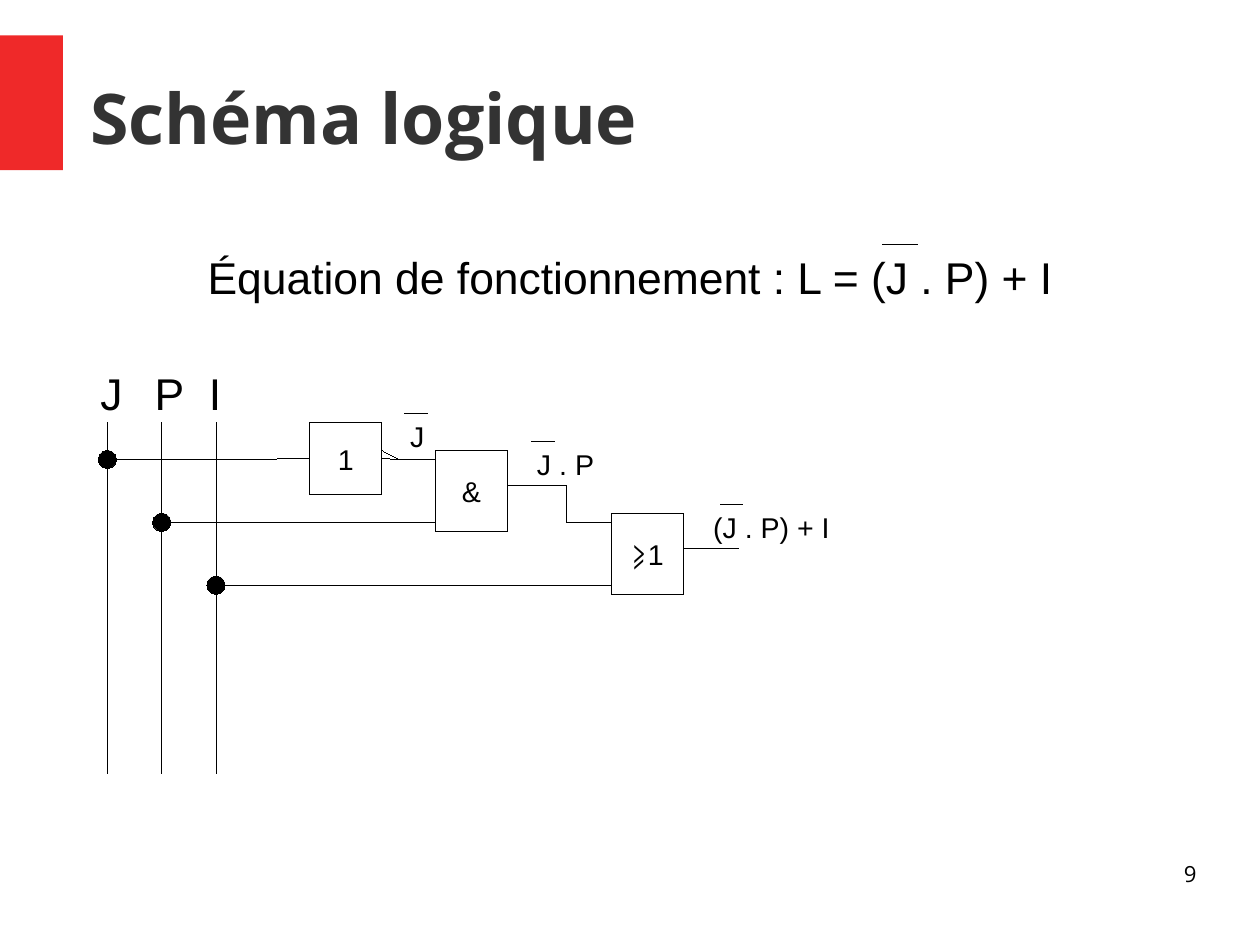
from pptx import Presentation
from pptx.dml.color import RGBColor
from pptx.enum import shapes, text
from pptx.oxml.ns import qn
from pptx.util import Inches, Pt
from lxml import etree

RED = RGBColor(0xEF, 0x29, 0x29)
GREY = RGBColor(0x33, 0x33, 0x33)
BLACK = RGBColor(0, 0, 0)
SHAPE = shapes.MSO_SHAPE
ALIGN = text.PP_ALIGN
SLIDE_W, SLIDE_H = 28 / 2.54, 21 / 2.54
DOT = 0.16


def set_font(p, size, name="Arial", color=BLACK, bold=False):
    p.font.size = Pt(size)
    p.font.name = name
    p.font.color.rgb = color
    p.font.bold = bold


def set_hairline(sp):
    sp.line.color.rgb = BLACK
    sp._element.spPr.find(qn("a:ln")).set("w", "0")


def clear_margins(tf):
    tf.margin_left = tf.margin_right = tf.margin_top = tf.margin_bottom = 0


def add_title(s, words):
    sp = s.shapes.title
    sp.left, sp.top, sp.width, sp.height = map(Inches, (0.79, 0.33, 9.68, 1.38))
    tf = sp.text_frame
    tf.text = words
    clear_margins(tf)
    tf.vertical_anchor = text.MSO_ANCHOR.MIDDLE
    tf.auto_size = text.MSO_AUTO_SIZE.NONE
    p = tf.paragraphs[0]
    p.alignment = ALIGN.LEFT
    set_font(p, 44, "Open Sans", GREY, True)


def add_label(s, words, x, y, w, h, size, align=ALIGN.LEFT, wrap=True):
    tf = s.shapes.add_textbox(*map(Inches, (x, y, w, h))).text_frame
    tf.word_wrap = wrap
    tf.text = words
    p = tf.paragraphs[0]
    p.alignment = align
    set_font(p, size)
    return tf


def add_box(s, kind, x, y, w, h, fill=None, outlined=True):
    sp = s.shapes.add_shape(kind, *map(Inches, (x, y, w, h)))
    sp.shadow.inherit = False
    if fill is None:
        sp.fill.background()
    else:
        sp.fill.solid()
        sp.fill.fore_color.rgb = fill
    if outlined:
        set_hairline(sp)
    else:
        sp.line.fill.background()
    return sp


def add_gate(s, words, x, y, h):
    sp = add_box(s, SHAPE.RECTANGLE, x, y, 0.63, h)
    tf = sp.text_frame
    tf.word_wrap = False
    tf.vertical_anchor = text.MSO_ANCHOR.MIDDLE
    tf.text = words
    p = tf.paragraphs[0]
    p.alignment = ALIGN.CENTER
    set_font(p, 18)
    return sp


def add_wire(s, x1, y1, x2, y2):
    c = s.shapes.add_connector(shapes.MSO_CONNECTOR.STRAIGHT,
                               *map(Inches, (x1, y1, x2, y2)))
    set_hairline(c)
    etree.SubElement(c._element.spPr, qn("a:effectLst"))
    return c


def add_input(s, name, x, y, gate_x):
    add_label(s, name, x - 0.16, 3.15, 0.39, 0.55, 28)
    add_wire(s, x, 3.7, x, 6.77)
    add_box(s, SHAPE.OVAL, x - DOT / 2, y - DOT / 2, DOT, DOT, BLACK)
    return add_wire(s, x, y, gate_x, y)


def main():
    prs = Presentation()
    prs.slide_width, prs.slide_height = Inches(SLIDE_W), Inches(SLIDE_H)
    s = prs.slides.add_slide(prs.slide_layouts[5])

    add_box(s, SHAPE.RECTANGLE, 0, 0.31, 0.55, 1.18, RED, outlined=False)
    add_title(s, "Schéma logique")
    add_label(s, "Équation de fonctionnement\u00a0: L = (J . P) + I",
              0, 2.14, SLIDE_W, 0.53, 28, ALIGN.CENTER)

    not_gate = add_gate(s, "1", 2.71, 3.7, 0.63)
    add_gate(s, "&", 3.81, 3.94, 0.71)
    add_gate(s, "⩾1", 5.35, 4.49, 0.71)

    inputs = [add_input(s, name, 0.94 + 0.475 * i, 4.02 + 0.55 * i, gate_x)
              for i, (name, gate_x) in enumerate(
                  [("J", 2.71), ("P", 3.81), ("I", 5.35)])]
    inputs[0].end_connect(not_gate, 1)
    add_wire(s, 3.34, 4.02, 3.81, 4.02).begin_connect(not_gate, 3)
    add_wire(s, 3.34, 3.94, 3.49, 4.02)

    steps = [(4.44, 4.25), (4.96, 4.25), (4.96, 4.57), (5.35, 4.57)]
    for start, end in zip(steps, steps[1:]):
        add_wire(s, *start, *end)
    add_wire(s, 5.98, 4.8, 6.46, 4.8)

    for words, x, y, w in [("J", 3.49, 3.62, 0.32),
                           ("J . P", 4.6, 3.86, 0.7),
                           ("(J . P) + I", 6.14, 4.41, 1.22)]:
        add_label(s, words, x, y, w, 0.38, 18, wrap=False)

    for x, y, w in [(7.72, 2.14, 0.31), (3.54, 3.62, 0.2),
                    (4.65, 3.86, 0.2), (6.3, 4.41, 0.2)]:
        add_wire(s, x, y, x + w, y)

    tf = add_label(s, "9", 7.9, 7.53, 2.57, 0.57, 14, ALIGN.RIGHT)
    clear_margins(tf)
    set_font(tf.paragraphs[0], 14, "Open Sans")

    prs.save("out.pptx")


if __name__ == "__main__":
    main()
